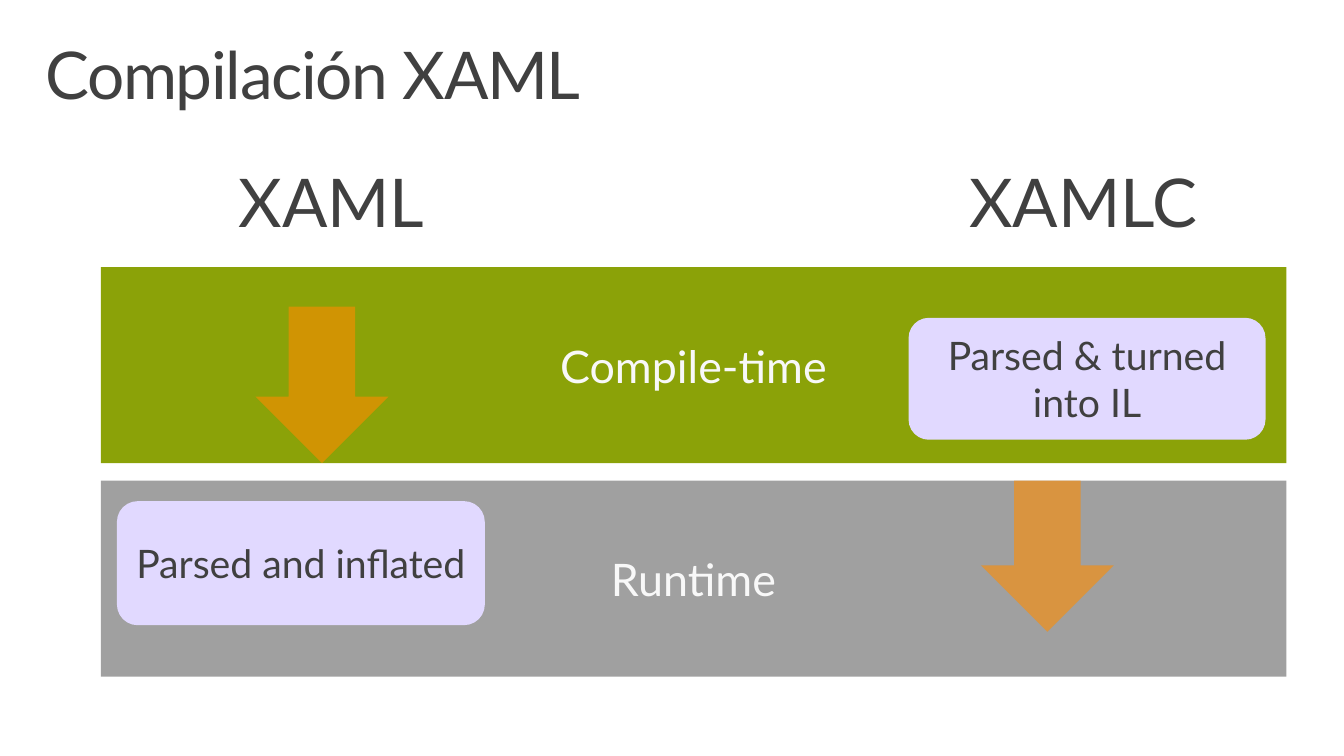
from dataclasses import dataclass

import lxml.etree
import pptx
import pptx.dml.color
import pptx.enum.shapes
import pptx.enum.text
import pptx.oxml.ns
import pptx.util

Pt = pptx.util.Pt
Align = pptx.enum.text.PP_ALIGN
Anchor = pptx.enum.text.MSO_ANCHOR
Preset = pptx.enum.shapes.MSO_SHAPE


@dataclass(frozen=True)
class Theme:
    font: str = "Lato"
    dark_text: str = "404040"
    light_text: str = "F8F8F8"
    compile_fill: str = "8BA208"
    runtime_fill: str = "A0A0A0"
    step_fill: str = "E1D9FF"
    arrow_fill: str = "FF8C00"
    arrow_opacity: int = 60
    title_size: float = 47
    heading_size: float = 48
    band_size: float = 32
    step_size: float = 28


THEME = Theme()


@dataclass(frozen=True)
class Frame:
    """Position and size in points."""
    left: float
    top: float
    width: float
    height: float

    def lengths(self) -> tuple:
        return Pt(self.left), Pt(self.top), Pt(self.width), Pt(self.height)


@dataclass(frozen=True)
class Label:
    text: str
    frame: Frame
    size: float
    margin_x: float
    margin_y: float
    align: Align = Align.CENTER
    spacing: float = 0


@dataclass(frozen=True)
class Block:
    preset: Preset
    frame: Frame
    fill: str
    text: str = ""
    size: float = THEME.step_size
    color: str = THEME.dark_text
    opacity: int = 100


BAND_LEFT, BAND_WIDTH, BAND_HEIGHT = 72, 846.8, 140
COMPILE_TOP, RUNTIME_TOP = 190.8, 343.3
HEADING_TOP, HEADING_HEIGHT = 106.6, 144.7
ARROW_WIDTH = 95

LABELS = [
    Label("Compilación XAML", Frame(20.9, 23, 918, 70.6), THEME.title_size,
          11.5, 7.2, Align.LEFT, -1),
    Label("XAML", Frame(141.8, HEADING_TOP, 190, HEADING_HEIGHT), THEME.heading_size, 22.4, 14.4),
    Label("XAMLC", Frame(660.2, HEADING_TOP, 227.5, HEADING_HEIGHT), THEME.heading_size, 22.4, 14.4),
]

BLOCKS = [
    Block(Preset.RECTANGLE, Frame(BAND_LEFT, RUNTIME_TOP, BAND_WIDTH, BAND_HEIGHT),
          THEME.runtime_fill, "Runtime", THEME.band_size, THEME.light_text),
    Block(Preset.RECTANGLE, Frame(BAND_LEFT, COMPILE_TOP, BAND_WIDTH, BAND_HEIGHT),
          THEME.compile_fill, "Compile-time", THEME.band_size, THEME.light_text),
    Block(Preset.ROUNDED_RECTANGLE, Frame(83.5, 358, 262.8, 88.6),
          THEME.step_fill, "Parsed and inflated"),
    Block(Preset.ROUNDED_RECTANGLE, Frame(649, 227, 255, 87.1),
          THEME.step_fill, "Parsed & turned into IL"),
    Block(Preset.DOWN_ARROW, Frame(700.6, RUNTIME_TOP, ARROW_WIDTH, 108),
          THEME.arrow_fill, opacity=THEME.arrow_opacity),
    Block(Preset.DOWN_ARROW, Frame(182.5, 219, ARROW_WIDTH, 111.8),
          THEME.arrow_fill, opacity=THEME.arrow_opacity),
]


def rgb(color: str) -> pptx.dml.color.RGBColor:
    return pptx.dml.color.RGBColor.from_string(color)


def write_text(shape, text: str, size: float, color: str, align: Align,
               anchor: Anchor, margin_x: float, margin_y: float):
    """Fill the shape with one styled paragraph and return that paragraph."""
    text_frame = shape.text_frame
    text_frame.text = text
    text_frame.word_wrap = True
    text_frame.vertical_anchor = anchor
    text_frame.margin_left = text_frame.margin_right = Pt(margin_x)
    text_frame.margin_top = text_frame.margin_bottom = Pt(margin_y)
    para = text_frame.paragraphs[0]
    para.alignment = align
    for span in para.runs:
        span.font.name = THEME.font
        span.font.size = Pt(size)
        span.font.color.rgb = rgb(color)
    return para


def draw_label(page, label: Label) -> None:
    box = page.shapes.add_textbox(*label.frame.lengths())
    para = write_text(box, label.text, label.size, THEME.dark_text, label.align,
                      Anchor.TOP, label.margin_x, label.margin_y)
    para.line_spacing = 0.9
    if label.spacing:
        for span in para.runs:
            span.font._element.set("spc", str(round(label.spacing * 100)))


def draw_block(page, block: Block) -> None:
    shape = page.shapes.add_shape(block.preset, *block.frame.lengths())
    shape.shadow.inherit = False
    shape.line.fill.background()
    shape.fill.solid()
    shape.fill.fore_color.rgb = rgb(block.fill)
    if block.opacity < 100:
        tag = pptx.oxml.ns.qn
        fill_color = shape._element.spPr.find(f"{tag('a:solidFill')}/{tag('a:srgbClr')}")
        lxml.etree.SubElement(fill_color, tag("a:alpha"), val=str(block.opacity * 1000))
    if block.text:
        write_text(shape, block.text, block.size, block.color, Align.CENTER,
                   Anchor.MIDDLE, 0, 7.2)


def main() -> None:
    deck = pptx.Presentation()
    deck.slide_width, deck.slide_height = Pt(960), Pt(540)
    page = deck.slides.add_slide(deck.slide_layouts[6])
    for block in BLOCKS:
        draw_block(page, block)
    for label in LABELS:
        draw_label(page, label)
    deck.save("out.pptx")


if __name__ == "__main__":
    main()
